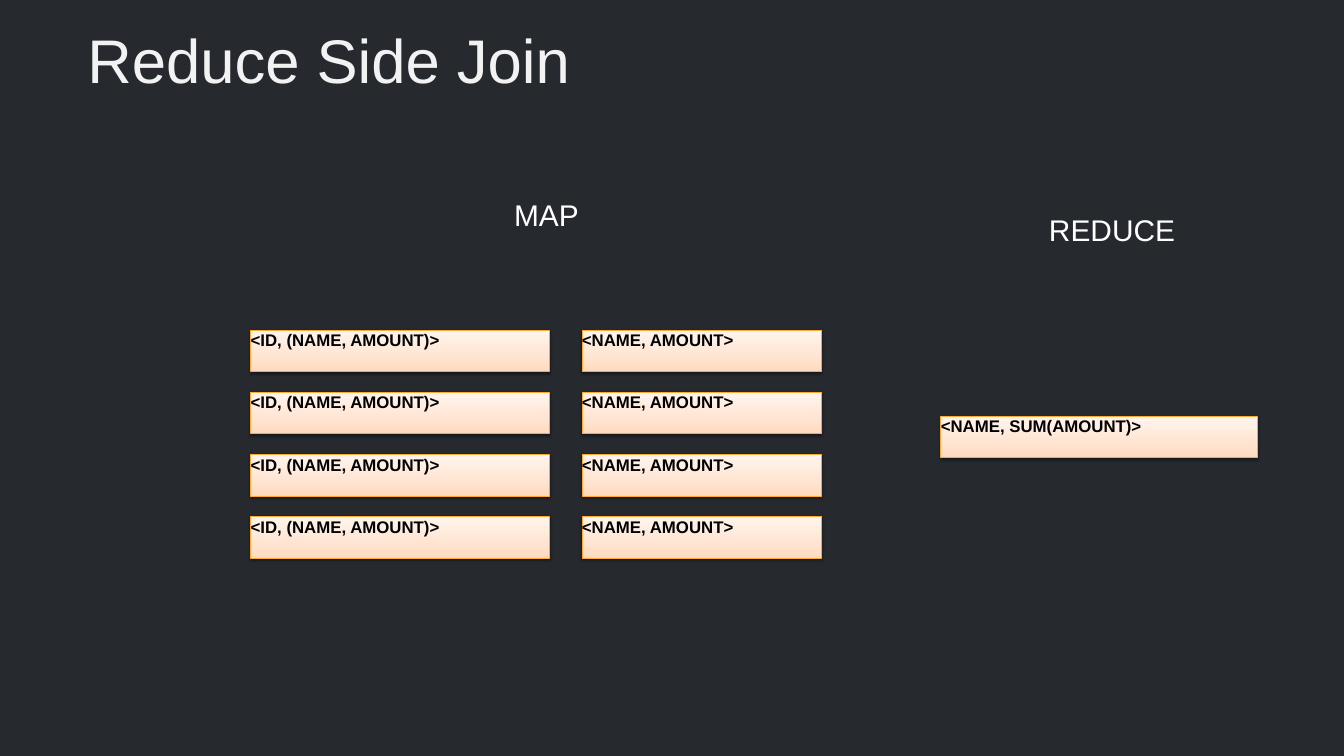
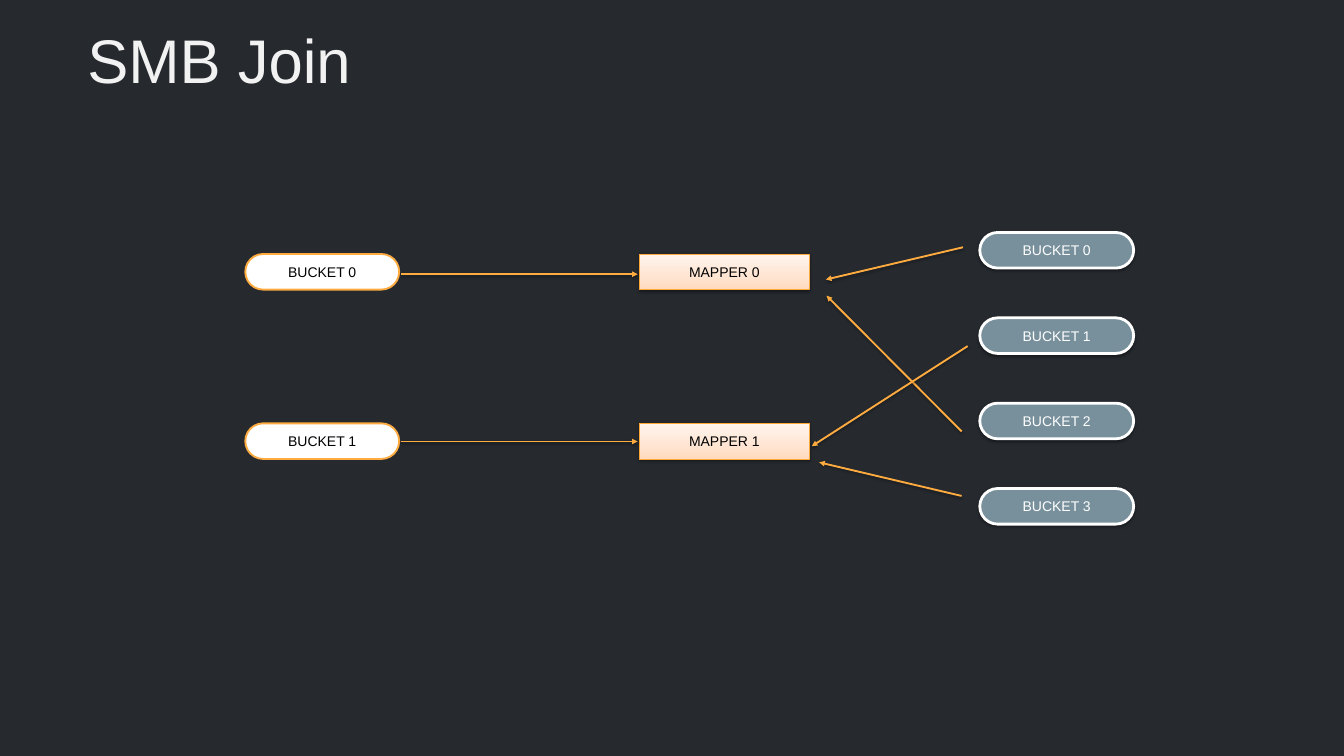
from copy import deepcopy
from lxml import etree
from pptx import Presentation, util as u
from pptx.dml.color import RGBColor as Rgb
from pptx.enum import shapes, text
from pptx.oxml import parse_xml
from pptx.oxml.ns import nsdecls, qn


class Theme:
    font = "Arial"
    back, title, white, black = "262A2F", "F2F2F2", "FFFFFF", "000000"
    amber, slate = "FFAB40", "78909C"
    peach = [(0, "FFDABE"), (0.35, "FFE4D1"), (1, "FFF5EE")]
    big, head, pair, node = 66, 32, 18, 15
    # fill, line colour, line width, shadow, text colour
    card = (peach, "FEA83A", 0.75, True, black)
    left = (white, amber, 2, False, black)
    right = (slate, white, 3, True, white)


def write(shape, words, size, ink, bold=False, mid=False):
    frame = shape.text_frame
    frame.word_wrap = True
    frame.margin_left = frame.margin_top = 0
    frame.margin_right = frame.margin_bottom = 0
    frame.vertical_anchor = text.MSO_ANCHOR.MIDDLE if mid else text.MSO_ANCHOR.TOP
    para = frame.paragraphs[0]
    para.alignment = text.PP_ALIGN.CENTER if mid else text.PP_ALIGN.LEFT
    run = para.add_run()
    run.text = words
    font = run.font
    font.name, font.size, font.bold = Theme.font, u.Pt(size), bold
    font.color.rgb = Rgb.from_string(ink)
    return para


def shade(shape, on=True):
    """Set the soft drop shadow, or none; call after fill and line are set."""
    fx = etree.SubElement(shape._element.spPr, qn("a:effectLst"))
    if on:
        fx.append(parse_xml(
            f'<a:outerShdw {nsdecls("a")} blurRad="38100" dist="20000" dir="5400000" '
            'rotWithShape="0"><a:srgbClr val="000000"><a:alpha val="38000"/>'
            '</a:srgbClr></a:outerShdw>'))


deck = Presentation()
deck.slide_width, deck.slide_height = u.Inches(20), u.Inches(11.25)
ground = deck.slide_master.background.fill
ground.solid()
ground.fore_color.rgb = Rgb.from_string(Theme.back)

rect = shapes.MSO_SHAPE.RECTANGLE
pill = shapes.MSO_SHAPE.ROUNDED_RECTANGLE

# Each box: kind, place, words, style, size, bold, centred
pairs = [(rect, (x, 4.91 + 0.925 * row, wide, 0.62), words, Theme.card, Theme.pair, True, False)
         for x, wide, words in [(3.73, 4.44, "<ID, (NAME, AMOUNT)>"),
                                (8.66, 3.57, "<NAME, AMOUNT>")]
         for row in range(4)]
pairs.append((rect, (14, 6.19, 4.71, 0.62), "<NAME, SUM(AMOUNT)>",
              Theme.card, Theme.pair, True, False))

nodes = [(kind, (x, top + step * i, wide, 0.53), f"{name} {i}", style, Theme.node, False, True)
         for kind, x, top, step, wide, name, count, style in [
             (pill, 3.65, 3.78, 2.52, 2.29, "BUCKET", 2, Theme.left),
             (pill, 14.58, 3.46, 1.27, 2.29, "BUCKET", 4, Theme.right),
             (rect, 9.52, 3.78, 2.52, 2.52, "MAPPER", 2, Theme.card)]
         for i in range(count)]

heads = [("MAP", (7.65, 2.93, 1.53, 1.06)), ("REDUCE", (15.61, 3.15, 2.96, 1.06))]
arrows = [(5.97, 4.08, 9.49, 4.08), (5.97, 6.57, 9.49, 6.57),
          (14.33, 3.68, 12.29, 4.16), (14.31, 6.42, 12.3, 4.4),
          (14.4, 5.15, 12.08, 6.64), (14.31, 7.38, 12.19, 6.88)]

for title, labels, boxes, links in [("Reduce Side Join", heads, pairs, []),
                                    ("SMB Join", [], nodes, arrows)]:
    slide = deck.slides.add_slide(deck.slide_layouts[6])
    tree = slide.shapes
    top = tree.add_textbox(*map(u.Inches, (1.3, 0.45, 17.42, 1.19)))
    write(top, title, Theme.big, Theme.title).line_spacing = 0.9

    for words, place in labels:
        write(tree.add_textbox(*map(u.Inches, place)), words, Theme.head, Theme.white)

    for kind, place, words, style, size, bold, mid in boxes:
        paint, edge, width, shadow, ink = style
        box = tree.add_shape(kind, *map(u.Inches, place))
        if kind == pill:
            box.adjustments[0] = 0.5
        if paint is Theme.peach:
            box.fill.gradient()
            box.fill.gradient_angle = 90
            stops = box._element.spPr.find(qn("a:gradFill")).find(qn("a:gsLst"))
            stops.append(deepcopy(stops[0]))
            for stop, (spot, tone) in zip(box.fill.gradient_stops, paint):
                stop.position = spot
                stop.color.rgb = Rgb.from_string(tone)
        else:
            box.fill.solid()
            box.fill.fore_color.rgb = Rgb.from_string(paint)
        box.line.color.rgb = Rgb.from_string(edge)
        box.line.width = u.Pt(width)
        shade(box, shadow)
        write(box, words, size, ink, bold, mid)

    for ends in links:
        link = tree.add_connector(shapes.MSO_CONNECTOR.STRAIGHT, *map(u.Inches, ends))
        link.line.color.rgb = Rgb.from_string(Theme.amber)
        link.line.width = u.Pt(2)
        tip = etree.SubElement(link.line._get_or_add_ln(), qn("a:tailEnd"))
        tip.set("type", "triangle")
        shade(link)

deck.save("out.pptx")
